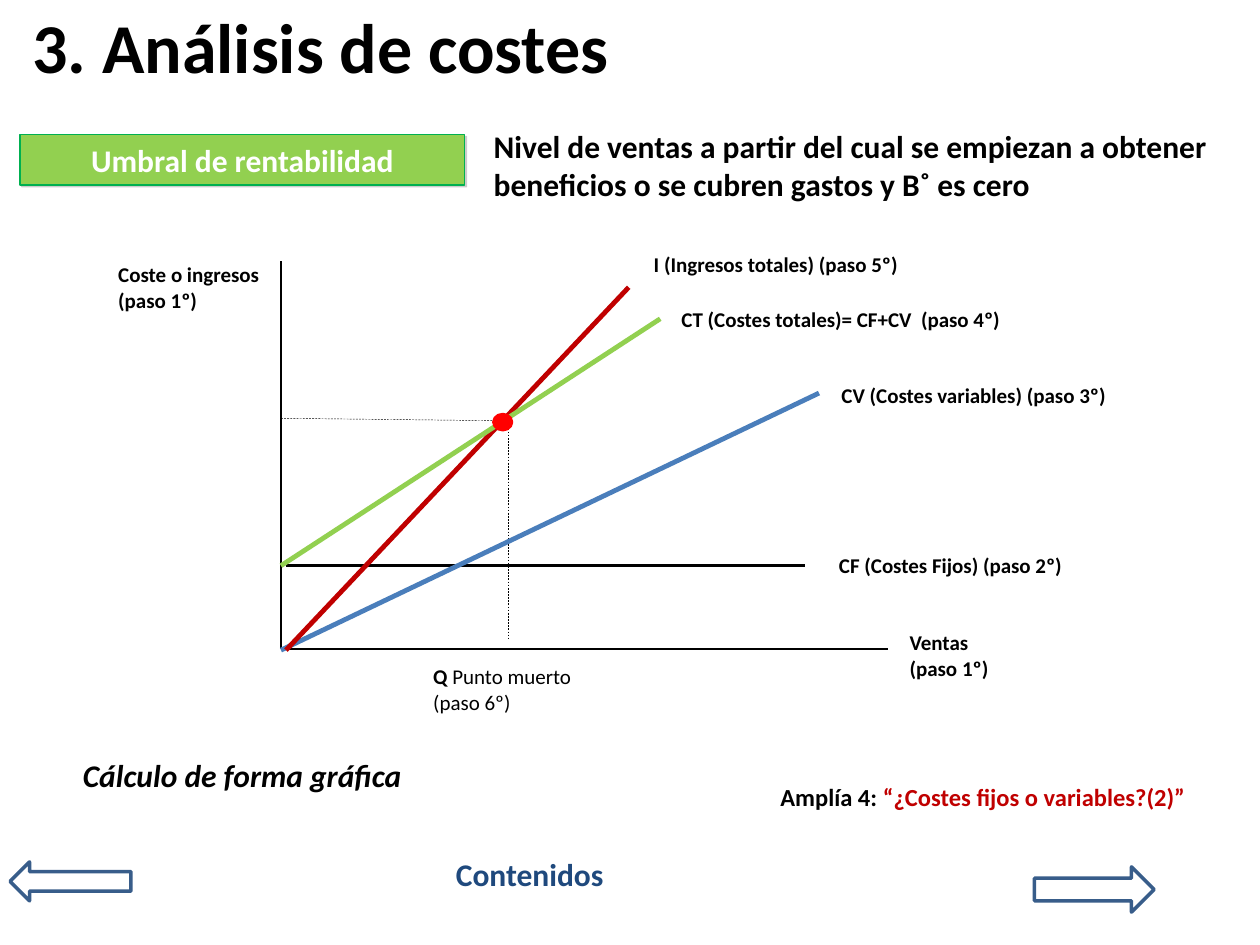
from dataclasses import dataclass

from lxml.etree import SubElement
from pptx import Presentation
from pptx.dml.color import RGBColor
from pptx.enum.dml import MSO_LINE
from pptx.enum.shapes import MSO_CONNECTOR, MSO_SHAPE
from pptx.enum.text import MSO_ANCHOR, PP_ALIGN
from pptx.oxml.ns import qn
from pptx.util import Inches, Pt


@dataclass(frozen=True)
class Theme:
    font: str = "Calibri"
    black: str = "000000"
    white: str = "FFFFFF"
    navy: str = "1F497D"
    edge: str = "385D8A"
    blue: str = "4A7EBB"
    wine: str = "C00000"
    red: str = "FF0000"
    lime: str = "92D050"
    green: str = "00B050"
    title: int = 40
    head: int = 18
    link: int = 14
    label: int = 12


T = Theme()

# Box (left, top, width, height), size, runs of (text, colour, style)
TITLE = ((0.16, 0.05, 9.42, 0.63), T.title,
         [("3. Análisis de costes", T.black, "b")])
MORE = ((6.09, 6.16, 3.42, 0.34), T.link,
        [("Amplía 4:", T.black, "b"),
         (" “¿Costes fijos o variables?(2)”", T.wine, "b")])
NOTES = [
    ((3.82, 0.96, 6.05, 0.7), T.head,
     [("Nivel de ventas a partir del cual se empiezan a obtener "
       "beneficios o se cubren gastos y B˚ es cero", T.black, "b")]),
    ((3.52, 6.74, 1.44, 0.4), T.head, [("Contenidos", T.navy, "b")]),
    ((0.56, 5.95, 3.44, 0.4), T.head,
     [("Cálculo de forma gráfica", T.black, "bi")]),
    ((3.34, 5.22, 1.57, 0.5), T.label,
     [("Q", T.black, "b"), (" Punto muerto (paso 6º)", T.black, "")]),
]
LABELS = [
    ("Coste o ingresos (paso 1º)", (0.84, 2.03, 1.37, 0.5)),
    ("Ventas (paso 1º)", (7.12, 4.95, 1.02, 0.5)),
    ("I (Ingresos totales) (paso 5º)", (5.09, 1.95, 2.34, 0.3)),
    ("CT (Costes totales)= CF+CV  (paso 4º)", (5.31, 2.38, 3.37, 0.3)),
    ("CV (Costes variables) (paso 3º)", (6.58, 2.99, 2.58, 0.3)),
    ("CF (Costes Fijos) (paso 2º)", (6.56, 4.34, 2.12, 0.3)),
]
BADGE = ("Umbral de rentabilidad", (0.16, 1.07, 3.53, 0.4))
ARROWS = [
    (MSO_SHAPE.LEFT_ARROW, (0.08, 6.84, 0.96, 0.31)),
    (MSO_SHAPE.RIGHT_ARROW, (8.21, 6.88, 0.95, 0.36)),
]

# Graph: start, end, colour, width, dashed
LEFT, BASE, FIXED, QUANT = 2.23, 5.15, 4.49, 4.03
LINES = [
    ((LEFT, BASE), (LEFT, 2.07), T.black, 0.75, False),
    ((LEFT, BASE), (7.05, BASE), T.black, 0.75, False),
    ((QUANT, 3.4), (QUANT, 5.07), T.black, 0.25, True),
    ((LEFT, 3.32), (QUANT, 3.34), T.black, 0.25, True),
    ((2.27, FIXED), (6.39, FIXED), T.black, 1.75, False),
    ((LEFT, 5.16), (6.5, 3.12), T.blue, 2.75, False),
    ((2.27, 5.16), (4.99, 2.28), T.wine, 2.75, False),
    ((LEFT, FIXED), (5.24, 2.53), T.lime, 2.75, False),
]
DOT = (3.92, 3.29, 0.14, 0.12)


def rgb(code):
    return RGBColor.from_string(code)


def inch(nums):
    return [Inches(n) for n in nums]


def write(shape, size, runs, align=PP_ALIGN.LEFT, anchor=MSO_ANCHOR.TOP, wrap=True):
    frame = shape.text_frame
    frame.word_wrap = wrap
    frame.vertical_anchor = anchor
    para = frame.paragraphs[0]
    para.alignment = align
    for text, color, style in runs:
        run = para.add_run()
        run.text = text
        font = run.font
        font.name, font.size = T.font, Pt(size)
        font.bold, font.italic = "b" in style, "i" in style
        font.color.rgb = rgb(color)


def add_text(slide, box, size, runs, **opts):
    write(slide.shapes.add_textbox(*inch(box)), size, runs, **opts)


def add_form(slide, kind, box, fill, line, width):
    shape = slide.shapes.add_shape(kind, *inch(box))
    shape.shadow.inherit = False
    if fill:
        shape.fill.solid()
        shape.fill.fore_color.rgb = rgb(fill)
    else:
        shape.fill.background()
    shape.line.color.rgb = rgb(line)
    shape.line.width = Pt(width)
    return shape


def add_line(slide, start, end, color, width, dashed):
    line = slide.shapes.add_connector(
        MSO_CONNECTOR.STRAIGHT, *inch(start), *inch(end))
    line.line.color.rgb = rgb(color)
    line.line.width = Pt(width)
    if dashed:
        line.line.dash_style = MSO_LINE.DASH
    SubElement(line._element.spPr, qn("a:effectLst"))


def add_shade(shape):
    """Give the shape a faint, sharp shadow to the lower right."""
    effects = shape._element.spPr.find(qn("a:effectLst"))
    shade = SubElement(effects, qn("a:outerShdw"), blurRad="0",
                       dist=str(Pt(1.4)), dir=str(45 * 60000), rotWithShape="0")
    color = SubElement(shade, qn("a:srgbClr"), val=T.black)
    SubElement(color, qn("a:alpha"), val="20000")


def main():
    deck = Presentation()
    deck.slide_width, deck.slide_height = Inches(10), Inches(7.5)
    slide = deck.slides.add_slide(deck.slide_layouts[6])

    add_text(slide, *TITLE, anchor=MSO_ANCHOR.MIDDLE)
    add_text(slide, *MORE, align=PP_ALIGN.CENTER, wrap=False)

    text, box = BADGE
    badge = add_form(slide, MSO_SHAPE.RECTANGLE, box, T.lime, T.green, 0.75)
    add_shade(badge)
    write(badge, T.head, [(text, T.white, "b")], align=PP_ALIGN.CENTER)

    for kind, box in ARROWS:
        add_form(slide, kind, box, None, T.edge, 2)

    for line in LINES:
        add_line(slide, *line)
    add_form(slide, MSO_SHAPE.OVAL, DOT, T.red, T.red, 2)

    for note in NOTES:
        add_text(slide, *note)
    for text, box in LABELS:
        add_text(slide, box, T.label, [(text, T.black, "b")])

    deck.save("out.pptx")


if __name__ == "__main__":
    main()
